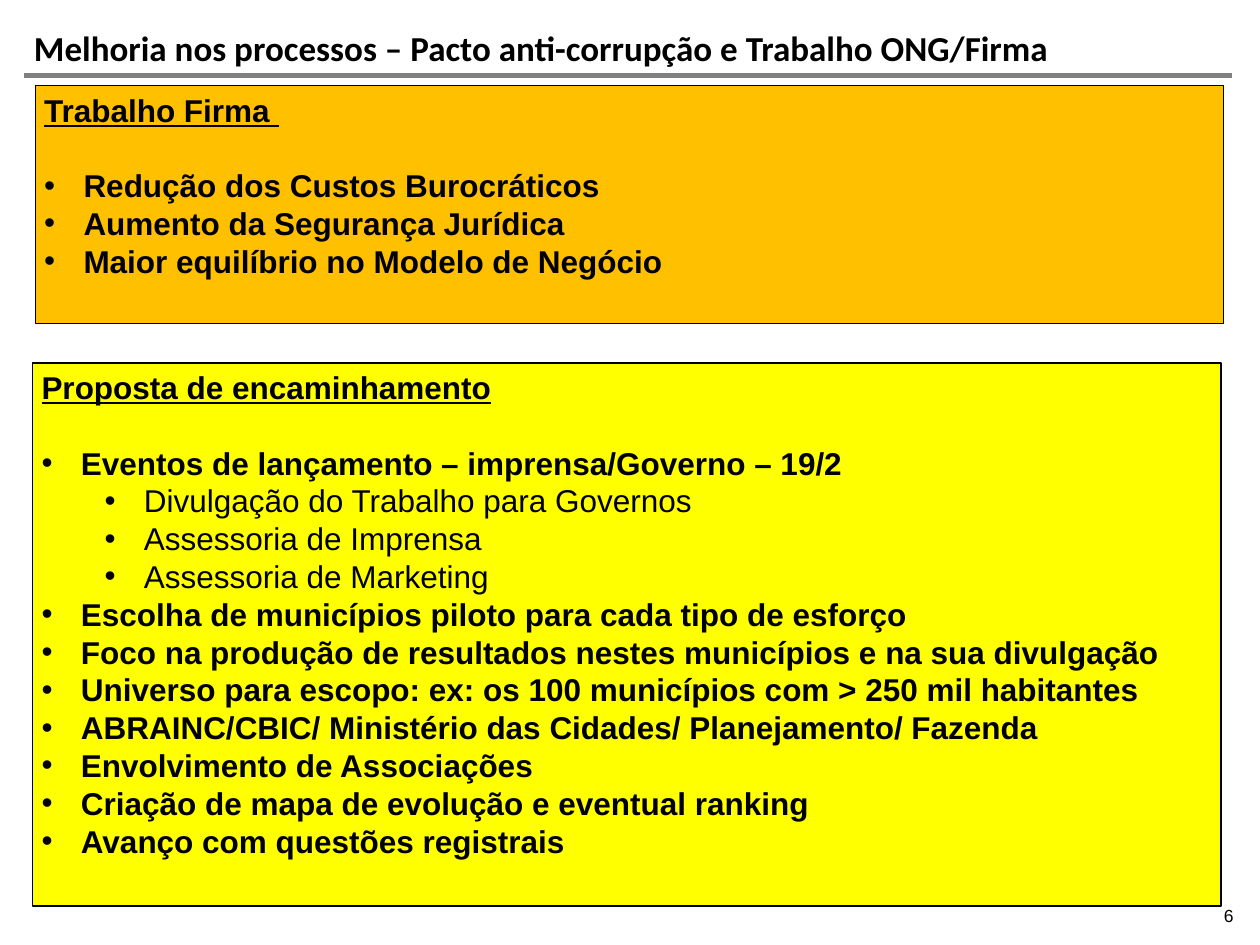
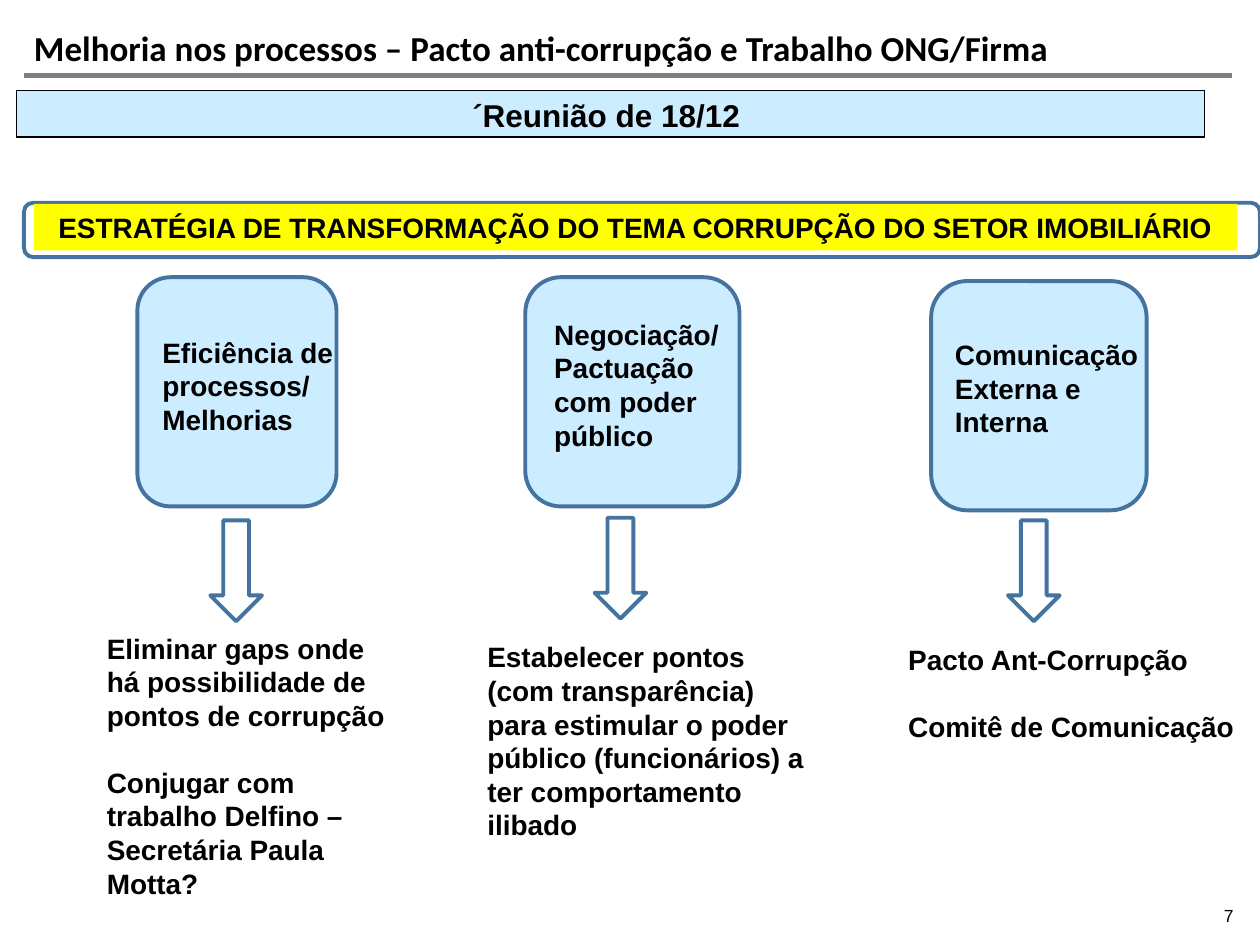
from lxml.etree import SubElement
from pptx import Presentation
from pptx.dml.color import RGBColor
from pptx.enum.shapes import MSO_CONNECTOR, MSO_SHAPE
from pptx.enum.text import MSO_ANCHOR, PP_ALIGN
from pptx.oxml.ns import qn
from pptx.util import Pt

COLORS = {
    "text": "000000", "rule": "808080", "white": "FFFFFF", "orange": "FFC000",
    "yellow": "FFFF00", "sky": "CCECFF", "steel": "43739E",
}
TITLE = "Melhoria nos processos – Pacto anti-corrupção e Trabalho ONG/Firma"
PANELS = [
    {"at": (20.2, 49, 679, 136), "fill": "orange", "heading": "Trabalho Firma ",
     "items": [
         (0, "Redução dos Custos Burocráticos"),
         (0, "Aumento da Segurança Jurídica"),
         (0, "Maior equilíbrio no Modelo de Negócio"),
     ]},
    {"at": (18.7, 207.4, 679, 310.3), "fill": "yellow", "heading": "Proposta de encaminhamento",
     "items": [
         (0, "Eventos de lançamento – imprensa/Governo – 19/2"),
         (1, "Divulgação do Trabalho para Governos"),
         (1, "Assessoria de Imprensa"),
         (1, "Assessoria de Marketing"),
         (0, "Escolha de municípios piloto para cada tipo de esforço"),
         (0, "Foco na produção de resultados nestes municípios e na sua divulgação"),
         (0, "Universo para escopo: ex: os 100 municípios com > 250 mil habitantes"),
         (0, "ABRAINC/CBIC/ Ministério das Cidades/ Planejamento/ Fazenda"),
         (0, "Envolvimento de Associações"),
         (0, "Criação de mapa de evolução e eventual ranking"),
         (0, "Avanço com questões registrais"),
     ]},
]
MEETING = "´Reunião de 18/12 "
STRATEGY = "ESTRATÉGIA DE TRANSFORMAÇÃO DO TEMA CORRUPÇÃO DO SETOR IMOBILIÁRIO"
PILLARS = [
    {"card": (78.5, 158.4, 113.8), "label_at": (85.7, 187.9, 116.6),
     "label": "Eficiência de processos/ Melhorias",
     "arrow": (120.2, 297.4), "outcome_at": (54, 357.1, 184.3),
     "outcomes": ["Eliminar gaps onde há possibilidade de pontos de corrupção",
                  "Conjugar com trabalho Delfino – Secretária Paula Motta?"]},
    {"card": (300.2, 158.4, 122.4), "label_at": (309.6, 177.8, 113),
     "label": "Negociação/ Pactuação com poder público",
     "arrow": (339.8, 295.9), "outcome_at": (271.4, 362.2, 201),
     "outcomes": ["Estabelecer pontos (com transparência) para estimular o poder "
                  "público (funcionários) a ter comportamento ilibado"]},
    {"card": (532.1, 160.6, 123.1), "label_at": (538.6, 189.4, 121),
     "label": "Comunicação Externa e Interna",
     "arrow": (576, 297.4), "outcome_at": (511.9, 363.6, 201.5),
     "outcomes": ["Pacto Ant-Corrupção", "Comitê de Comunicação"]},
]
CARD_HEIGHT = 131
ARROW_SIZE = (29.5, 57.6)
NO_INSET = (0, 0)
TEXT_INSET = (7.2, 3.6)
PANEL_INSET = (5.04, 2.88)
LEADING = 1.2


def rgb(name):
    return RGBColor.from_string(COLORS[name])


def add_box(s, kind, at, fill, line=None, width=0.75):
    sp = s.shapes.add_shape(kind, *map(Pt, at))
    sp.shadow.inherit = False
    sp.fill.solid()
    sp.fill.fore_color.rgb = rgb(fill)
    if line:
        sp.line.color.rgb = rgb(line)
        sp.line.width = Pt(width)
    else:
        sp.line.fill.background()
    return sp


def add_textbox(s, at):
    return s.shapes.add_textbox(*map(Pt, at))


def frame(sp, inset=TEXT_INSET, anchor=MSO_ANCHOR.TOP):
    tf = sp.text_frame
    tf.word_wrap = True
    tf.vertical_anchor = anchor
    tf.margin_left = tf.margin_right = Pt(inset[0])
    tf.margin_top = tf.margin_bottom = Pt(inset[1])
    return tf


def write(tf, text, size, bold=True, underline=False, font="Arial",
          align=PP_ALIGN.LEFT, spacing=None, gap=False, level=None):
    p = tf.paragraphs[0]
    if p.runs:
        p = tf.add_paragraph()
    p.alignment = align
    p.line_spacing = spacing or Pt(size * LEADING)
    if gap:
        p.space_before = Pt(size * LEADING)
    if level is not None:
        p.level = level
        pPr = p._p.get_or_add_pPr()
        pPr.set("marL", str(Pt(22.5 + 36 * level)))
        pPr.set("indent", str(-Pt(22.5)))
        SubElement(pPr, qn("a:buFont"), typeface="Arial")
        SubElement(pPr, qn("a:buChar"), char="•")
    r = p.add_run()
    r.text = text
    r.font.name = font
    r.font.size = Pt(size)
    r.font.bold = bold
    r.font.underline = underline
    r.font.color.rgb = rgb("text")


def add_slide(prs, number):
    s = prs.slides.add_slide(prs.slide_layouts[6])
    rule = s.shapes.add_connector(MSO_CONNECTOR.STRAIGHT, Pt(13.7), Pt(43.2), Pt(704.2), Pt(43.2))
    rule.line.color.rgb = rgb("rule")
    rule.line.width = Pt(3.2)
    SubElement(rule._element.spPr, qn("a:effectLst"))
    title = add_textbox(s, (19.4, 18, 684.7, 25.2))
    write(frame(title, NO_INSET), TITLE, 20, font="Calibri", spacing=0.9)
    page = add_textbox(s, (536.4, 517, 168.5, 12.2))
    write(frame(page, NO_INSET, MSO_ANCHOR.BOTTOM), str(number), 10, bold=False,
          align=PP_ALIGN.RIGHT)
    return s


def build_proposal(prs):
    s = add_slide(prs, 6)
    for panel in PANELS:
        sp = add_box(s, MSO_SHAPE.RECTANGLE, panel["at"], panel["fill"], "text")
        tf = frame(sp, PANEL_INSET)
        write(tf, panel["heading"], 18, underline=True)
        for i, (level, text) in enumerate(panel["items"]):
            write(tf, text, 18, bold=level == 0, gap=i == 0, level=level)


def build_strategy(prs):
    s = add_slide(prs, 7)
    add_box(s, MSO_SHAPE.ROUNDED_RECTANGLE, (13.7, 115.9, 706.3, 31), "white", "steel", 2.25)
    band = add_box(s, MSO_SHAPE.RECTANGLE, (19.4, 116.6, 687.6, 26.6), "yellow")
    write(frame(band), STRATEGY, 16, align=PP_ALIGN.CENTER)
    for pillar in PILLARS:
        add_box(s, MSO_SHAPE.ROUNDED_RECTANGLE, (*pillar["card"], CARD_HEIGHT),
                "sky", "steel", 2.25)
        label = add_textbox(s, (*pillar["label_at"], 65.5))
        write(frame(label), pillar["label"], 16)
        add_box(s, MSO_SHAPE.DOWN_ARROW, (*pillar["arrow"], *ARROW_SIZE), "white", "steel", 2.25)
        tf = frame(add_textbox(s, (*pillar["outcome_at"], 124)))
        for i, text in enumerate(pillar["outcomes"]):
            write(tf, text, 16, gap=i > 0)
    meeting = add_box(s, MSO_SHAPE.RECTANGLE, (9.4, 51.8, 679, 26.6), "sky", "text")
    write(frame(meeting, PANEL_INSET), MEETING, 18, align=PP_ALIGN.CENTER)


def main():
    prs = Presentation()
    prs.slide_width, prs.slide_height = Pt(720), Pt(540)
    build_proposal(prs)
    build_strategy(prs)
    prs.save("out.pptx")


if __name__ == "__main__":
    main()
